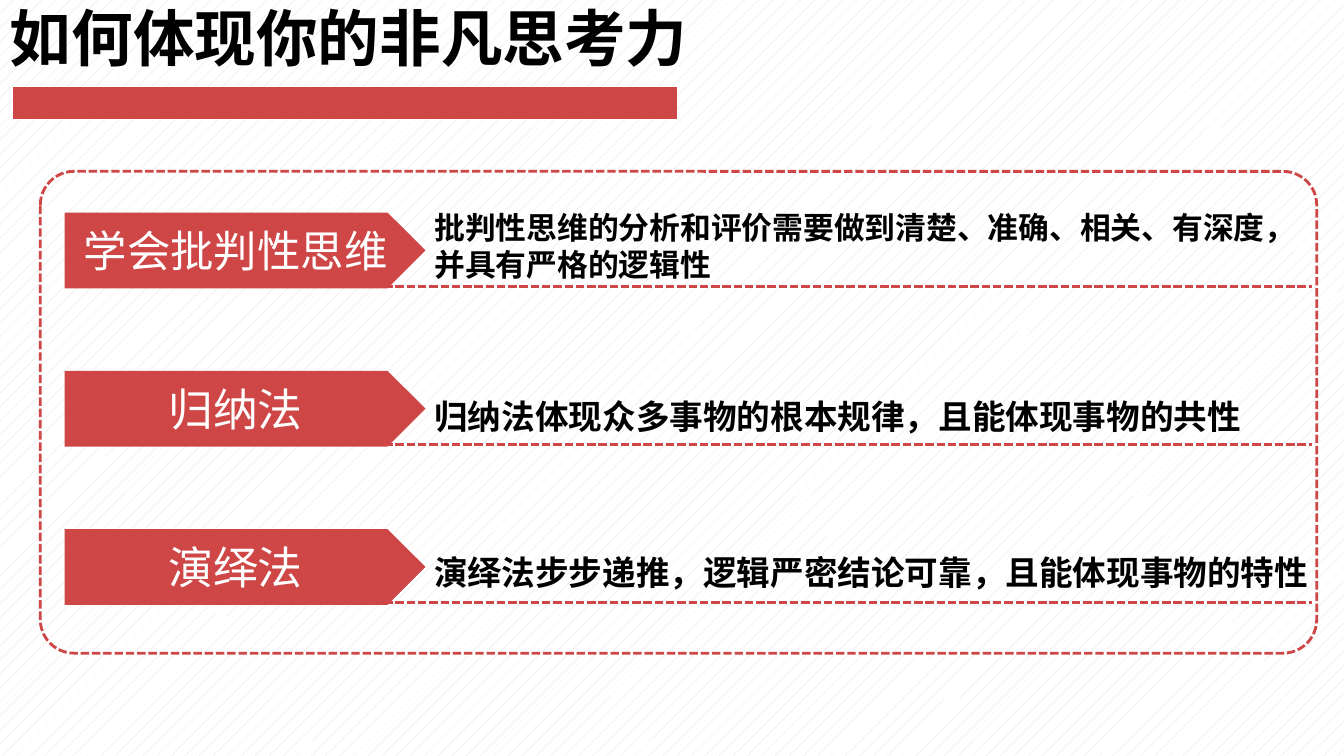
from lxml.etree import SubElement
from pptx import Presentation
from pptx.dml.color import RGBColor
from pptx.enum.dml import MSO_LINE, MSO_PATTERN
from pptx.enum.shapes import MSO_CONNECTOR, MSO_SHAPE
from pptx.enum.text import MSO_ANCHOR, PP_ALIGN
from pptx.oxml.ns import qn
from pptx.util import Pt

PX = 9144  # EMU per px, 100 px to the inch
FONT = "Noto Sans CJK SC"
COLORS = {"red": "CE4646", "black": "000000", "white": "FFFFFF", "dots": "DBDBDB"}

FIRST_ROW, ROW_STEP = 211, 157
# label, label size, statement, statement size, offset from row top, width, height
ROWS = [
    ("学会批判性思维", 31,
     "批判性思维的分析和评价需要做到清楚、准确、相关、有深度，并具有严格的逻辑性",
     22, -9, 865, 84),
    ("归纳法", 32, "归纳法体现众多事物的根本规律，且能体现事物的共性",
     24, 20, 884, 50),
    ("演绎法", 32, "演绎法步步递推，逻辑严密结论可靠，且能体现事物的特性",
     24, 18, 906, 50),
]


def px(*lengths):
    return [n * PX for n in lengths]


def rgb(name):
    return RGBColor.from_string(COLORS[name])


def set_text(tf, text, size, color, bold=False, align=PP_ALIGN.LEFT):
    tf.word_wrap = True
    p = tf.paragraphs[0]
    p.text = text
    p.alignment = align
    font = p.font
    font.size, font.bold, font.name = Pt(size), bold, FONT
    font.color.rgb = rgb(color)
    # Chinese characters take the East Asian typeface
    SubElement(p._p.pPr.find(qn("a:defRPr")), qn("a:ea"), typeface=FONT)
    return p


def add_text(s, box, text, size, anchor=MSO_ANCHOR.TOP):
    tf = s.shapes.add_textbox(*px(*box)).text_frame
    tf.vertical_anchor = anchor
    return set_text(tf, text, size, "black", bold=True)


def style_line(line, width, dashed=True):
    line.color.rgb = rgb("red")
    line.width = Pt(width)
    if dashed:
        line.dash_style = MSO_LINE.SQUARE_DOT


def add_rule(s, x1, x2, y, width, dashed=True):
    line = s.shapes.add_connector(MSO_CONNECTOR.STRAIGHT, *px(x1, y, x2, y))
    style_line(line.line, width, dashed)
    SubElement(line._element.spPr, qn("a:effectLst"))


def add_label(s, box, text, size):
    sp = s.shapes.add_shape(MSO_SHAPE.PENTAGON, *px(*box))
    sp.shadow.inherit = False
    sp.fill.solid()
    sp.fill.fore_color.rgb = rgb("red")
    sp.line.fill.background()
    sp.text_frame.vertical_anchor = MSO_ANCHOR.MIDDLE
    set_text(sp.text_frame, text, size, "white", align=PP_ALIGN.CENTER)


def add_frame(s, box):
    sp = s.shapes.add_shape(MSO_SHAPE.ROUNDED_RECTANGLE, *px(*box))
    sp.shadow.inherit = False
    sp.adjustments[0] = 0.07
    sp.fill.background()
    style_line(sp.line, 2)


def set_background(s):
    fill = s.background.fill
    fill.patterned()
    fill.pattern = MSO_PATTERN.PERCENT_5
    fill.fore_color.rgb = rgb("dots")
    fill.back_color.rgb = rgb("white")


def main():
    prs = Presentation()
    prs.slide_width, prs.slide_height = px(1333, 750)
    s = prs.slides.add_slide(prs.slide_layouts[6])
    set_background(s)

    # Title with its thick bar
    title = add_text(s, (0, 0, 694, 83), "如何体现你的非凡思考力", 44, MSO_ANCHOR.MIDDLE)
    title.line_spacing = 0.9
    add_rule(s, 13, 671, 102, 23, dashed=False)

    # One row per method: statement, arrow label, dashed underline
    for i, (label, label_size, text, size, dy, width, height) in enumerate(ROWS):
        top = FIRST_ROW + i * ROW_STEP
        add_text(s, (421, top + dy, width, height), text, size)
        add_label(s, (64, top, 358, 75), label, label_size)
        add_rule(s, 68, 1301, top + 73, 2)

    # Dashed frame around the rows
    add_frame(s, (40, 170, 1266, 478))

    prs.save("out.pptx")


if __name__ == "__main__":
    main()
